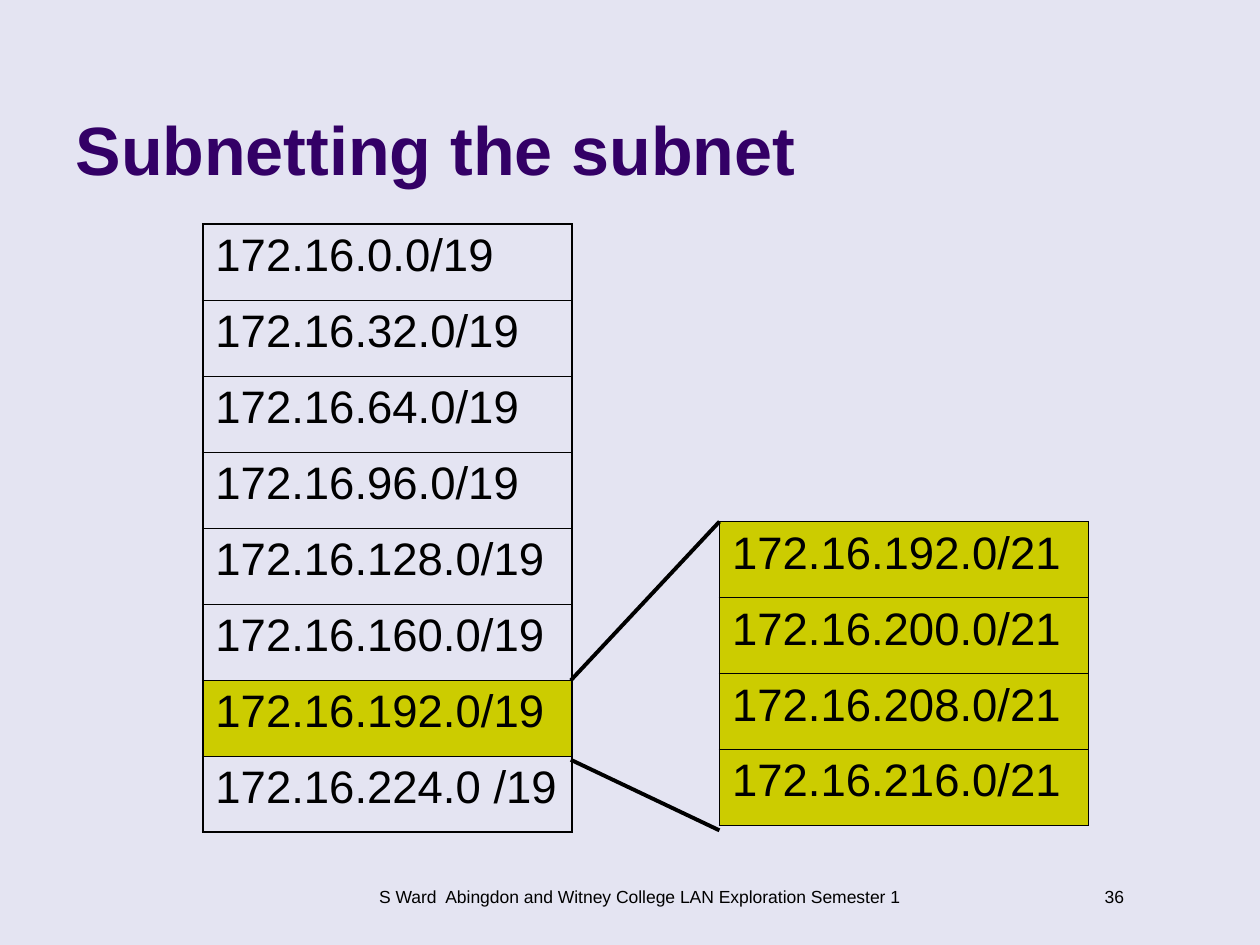
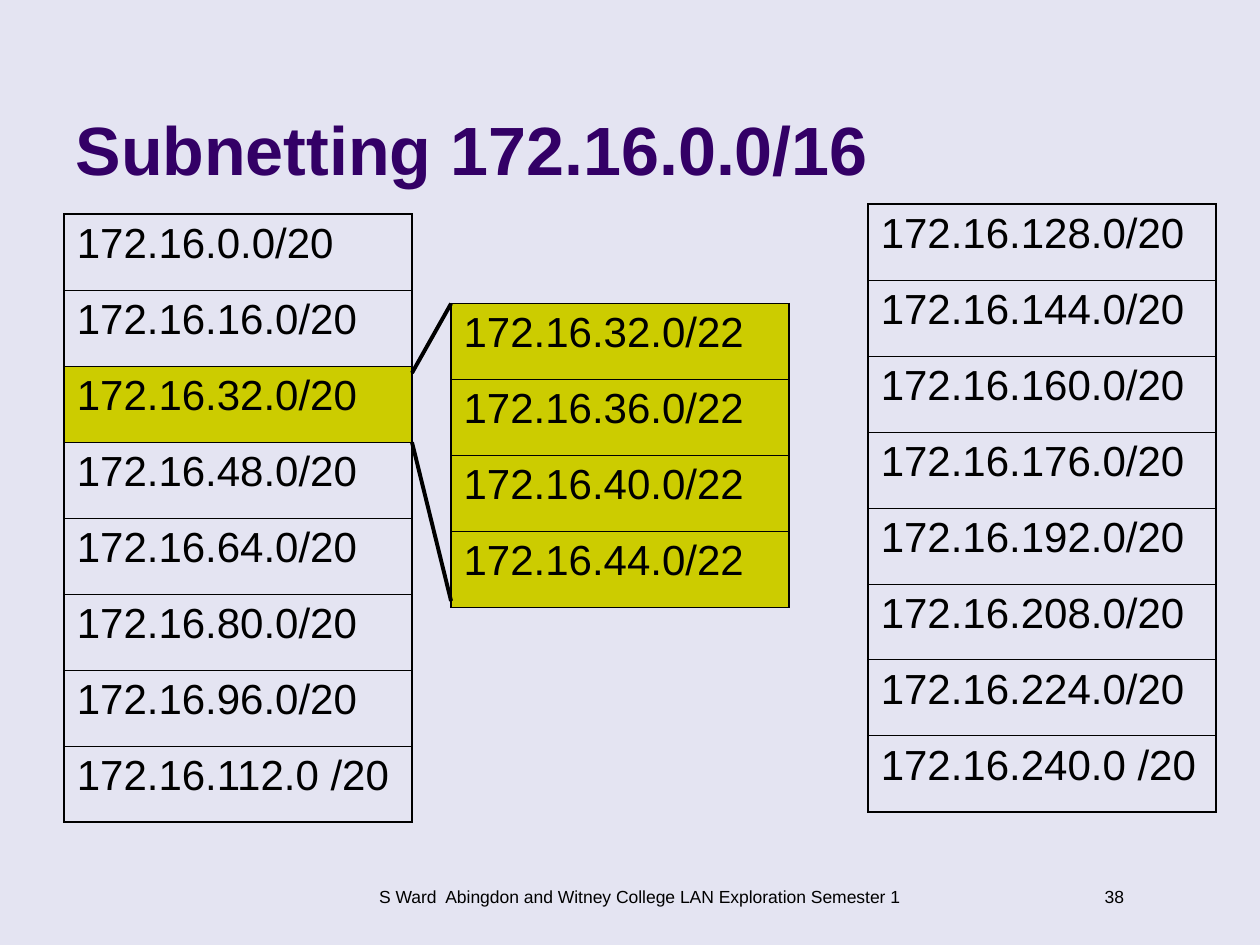
from lxml import etree
from pptx import Presentation
from pptx.dml.color import RGBColor
from pptx.enum.shapes import MSO_CONNECTOR
from pptx.enum.text import MSO_ANCHOR, PP_ALIGN
from pptx.oxml.ns import qn
from pptx.util import Inches, Pt

LEFT, MID, RIGHT = PP_ALIGN.LEFT, PP_ALIGN.CENTER, PP_ALIGN.RIGHT
BOTTOM = MSO_ANCHOR.BOTTOM
LINE = MSO_CONNECTOR.STRAIGHT

COLORS = {"back": "E4E4F2", "title": "330066", "ink": "000000", "mark": "CCCC00"}
FACE = "Arial"
FOOTER = "S Ward  Abingdon and Witney College LAN Exploration Semester 1"
WIDE, HIGH = Inches(10), Inches(7.5)
COL, ROW = WIDE / 100, HIGH / 100
STEP = 8.04
THIN, THICK = Pt(0.45), Pt(1.08)

deck = Presentation()
deck.slide_width, deck.slide_height = WIDE, HIGH


def place(x, y, w, h):
    return [round(n) for n in (x * COL, y * ROW, w * COL, h * ROW)]


def style(para, size, color, align=LEFT, bold=False):
    para.alignment = align
    font = para.font
    font.name, font.size, font.bold = FACE, Pt(size), bold
    font.color.rgb = RGBColor.from_string(COLORS[color])


def subnets(first, count, gap, mask):
    return [f"172.16.{first + i * gap}.0/{mask}" for i in range(count)]


# table: left, top, width, nets, marked rows; line: x1, y1, x2, y2
pages = [
    {
        "title": "Subnetting the subnet", "number": "36", "size": 26,
        "tables": [
            (16.1, 23.73, 29.3, subnets(0, 8, 32, 19), [6]),
            (57.1, 55.2, 29.3, subnets(192, 4, 8, 21), range(4)),
        ],
        "lines": [(45.3, 72, 57.1, 55.2), (45.3, 80.4, 57.1, 87.87)],
    },
    {
        "title": "Subnetting 172.16.0.0/16", "number": "38", "size": 24,
        "tables": [
            (5.1, 22.67, 27.6, subnets(0, 8, 16, 20), [2]),
            (35.8, 32.13, 26.8, subnets(32, 4, 4, 22), range(4)),
            (68.9, 21.6, 27.6, subnets(128, 8, 16, 20), []),
        ],
        "lines": [(32.7, 39.47, 35.8, 32.13), (32.7, 46.8, 35.8, 63.6)],
    },
]

for page in pages:
    slide = deck.slides.add_slide(deck.slide_layouts[5])
    slide.background.fill.solid()
    slide.background.fill.fore_color.rgb = RGBColor.from_string(COLORS["back"])

    title = slide.shapes.title
    title.left, title.top, title.width, title.height = place(5, 1.73, 82.5, 18.93)
    title.text_frame.text = page["title"]
    title.text_frame.vertical_anchor = BOTTOM
    style(title.text_frame.paragraphs[0], 39, "title", bold=True)

    for text, x, w, align in (
        (page["number"], 83.9, 6.3, RIGHT),
        (FOOTER, 24, 53.5, MID),
    ):
        frame = slide.shapes.add_textbox(*place(x, 93.07, w, 4)).text_frame
        frame.word_wrap = True
        frame.text = text
        style(frame.paragraphs[0], 10, "ink", align)

    for x, y, w, nets, marked in page["tables"]:
        count = len(nets)
        table = slide.shapes.add_table(count, 1, *place(x, y, w, count * STEP)).table
        table.first_row = table.horz_banding = False
        for i, net in enumerate(nets):
            cell = table.cell(i, 0)
            last = i == count - 1
            cell.text = net.replace("/", " /") if last and count == 8 else net
            style(cell.text_frame.paragraphs[0], page["size"], "ink")
            props = cell._tc.get_or_add_tcPr()
            for side, width in (
                ("L", THICK),
                ("R", THICK),
                ("T", THICK if i == 0 else THIN),
                ("B", THICK if last else THIN),
            ):
                edge = etree.SubElement(props, qn("a:ln" + side), w=str(width))
                paint = etree.SubElement(edge, qn("a:solidFill"))
                etree.SubElement(paint, qn("a:srgbClr"), val=COLORS["ink"])
            if i in marked:
                cell.fill.solid()
                cell.fill.fore_color.rgb = RGBColor.from_string(COLORS["mark"])
            else:
                cell.fill.background()

    for ends in page["lines"]:
        line = slide.shapes.add_connector(LINE, *place(*ends))
        line.line.width = Pt(2.25)
        line.line.color.rgb = RGBColor.from_string(COLORS["ink"])
        etree.SubElement(line._element.spPr, qn("a:effectLst"))

deck.save("out.pptx")
